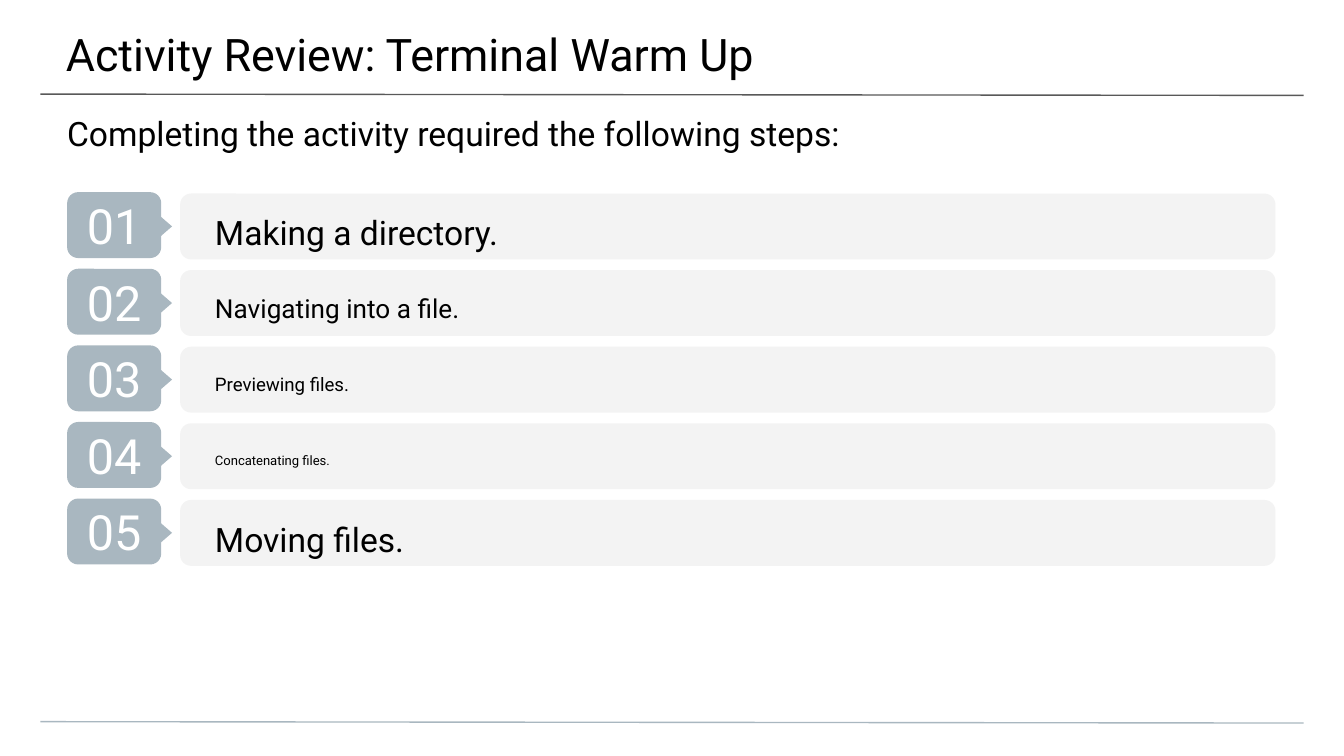
from pptx import Presentation
from pptx.dml.color import RGBColor
from pptx.enum import shapes as sh, text as tx
from pptx.oxml.ns import qn
from pptx.util import Inches, Pt
from lxml import etree

FONT = "Roboto"
BLACK, WHITE, BLUE, PALE, GREY = "000000", "FFFFFF", "A9B7C0", "F3F3F3", "595959"
STEPS = [
    ("Making a directory.", 18),
    ("Navigating into a file.", 14),
    ("Previewing files.", 10),
    ("Concatenating files.", 7),
    ("Moving files.", 18),
]


def color(code):
    return RGBColor.from_string(code)


def write(shape, words, size, code, pads, anchor=tx.MSO_ANCHOR.TOP,
          align=tx.PP_ALIGN.LEFT, spacing=None):
    frame = shape.text_frame
    frame.word_wrap = True
    frame.vertical_anchor = anchor
    (frame.margin_left, frame.margin_top,
     frame.margin_right, frame.margin_bottom) = [Inches(p) for p in pads]
    para = frame.paragraphs[0]
    para.text = words
    para.alignment = align
    para.line_spacing = spacing
    para.font.name, para.font.size = FONT, Pt(size)
    para.font.color.rgb = color(code)


def label(slide, box, *args, **kwargs):
    write(slide.shapes.add_textbox(*[Inches(v) for v in box]), *args, **kwargs)


def block(parent, kind, box, fill):
    shape = parent.add_shape(kind, *[Inches(v) for v in box])
    shape.shadow.inherit = False
    shape.fill.solid()
    shape.fill.fore_color.rgb = color(fill)
    shape.line.fill.background()
    return shape


def panel(parent, box, fill):
    shape = block(parent, sh.MSO_SHAPE.ROUNDED_RECTANGLE, box, fill)
    shape.adjustments[0] = 0.167
    return shape


def rule(slide, left, top, width, code):
    line = slide.shapes.add_connector(
        sh.MSO_CONNECTOR.STRAIGHT, Inches(left), Inches(top),
        Inches(left + width), Inches(top + 0.01))
    line.line.color.rgb = color(code)
    line.line.width = Pt(0.75)
    etree.SubElement(line._element.spPr, qn("a:effectLst"))


def header(slide, left, top, width):
    label(slide, (left - 0.01, top, width + 0.03, 0.58),
          "Activity Review: Terminal Warm Up", 24, BLACK, (0.5, 0.2, 0.3, 0.1))
    label(slide, (left, top + 0.74, width, 0.4),
          "Completing the activity required the following steps:",
          18, BLACK, (0.5, 0.1, 0.5, 0))


def step(slide, left, top, width, height, number, words, size):
    # Pale bar
    panel(slide.shapes, (left + 0.84, top + 0.01, width - 0.84, height), PALE)

    # Number tag with its pointer
    tag = slide.shapes.add_group_shape().shapes
    badge = panel(tag, (left, top, 0.7, height), BLUE)
    write(badge, f"{number:02}", 26, WHITE, (0.1,) * 4,
          tx.MSO_ANCHOR.MIDDLE, tx.PP_ALIGN.CENTER)
    tip = block(tag, sh.MSO_SHAPE.FLOWCHART_EXTRACT,
                (left + 0.52, top + 0.16, 0.33, 0.19), BLUE)
    tip.rotation = 90

    # Step text, inset from the slide's left edge
    label(slide, (left - 0.5, top + 0.03, width + 0.47, height), words, size,
          BLACK, (1.6, 0, 0.5, 0), tx.MSO_ANCHOR.MIDDLE, spacing=1.15)


def steps(slide, left, top, width, height, pitch):
    for i, (words, size) in enumerate(STEPS):
        step(slide, left, top + i * pitch, width, height, i + 1, words, size)


def main():
    deck = Presentation()
    deck.slide_width = Inches(10)
    deck.slide_height = deck.slide_width * 9 // 16
    slide = deck.slides.add_slide(deck.slide_layouts[6])

    # Footer and header rules
    rule(slide, 0.3, 5.37, 9.4, BLUE)
    rule(slide, 0.3, 0.7, 9.4, GREY)

    header(slide, 0, 0, 10)
    steps(slide, 0.5, 1.43, 8.99, 0.49, 0.57)
    deck.save("out.pptx")


if __name__ == "__main__":
    main()
